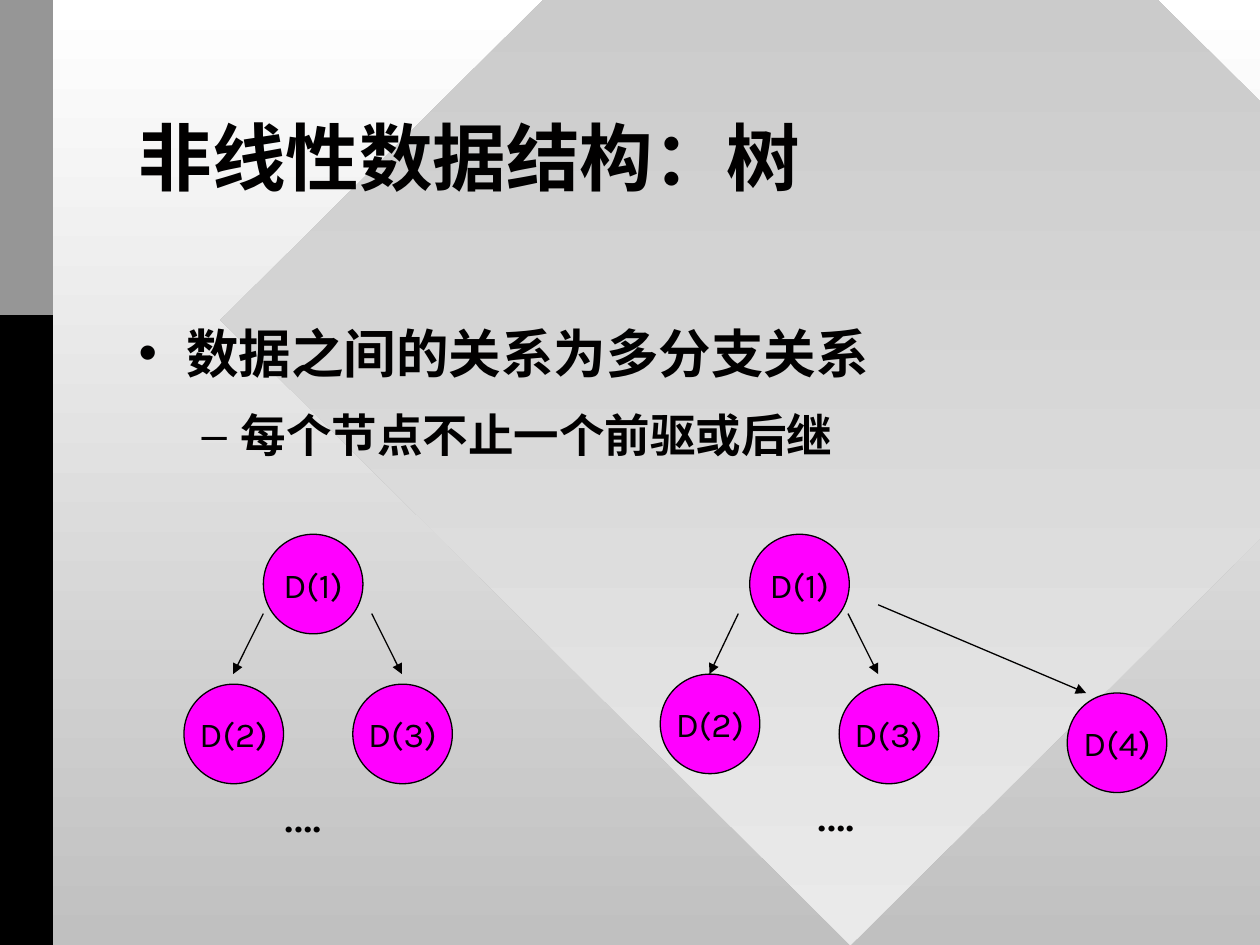
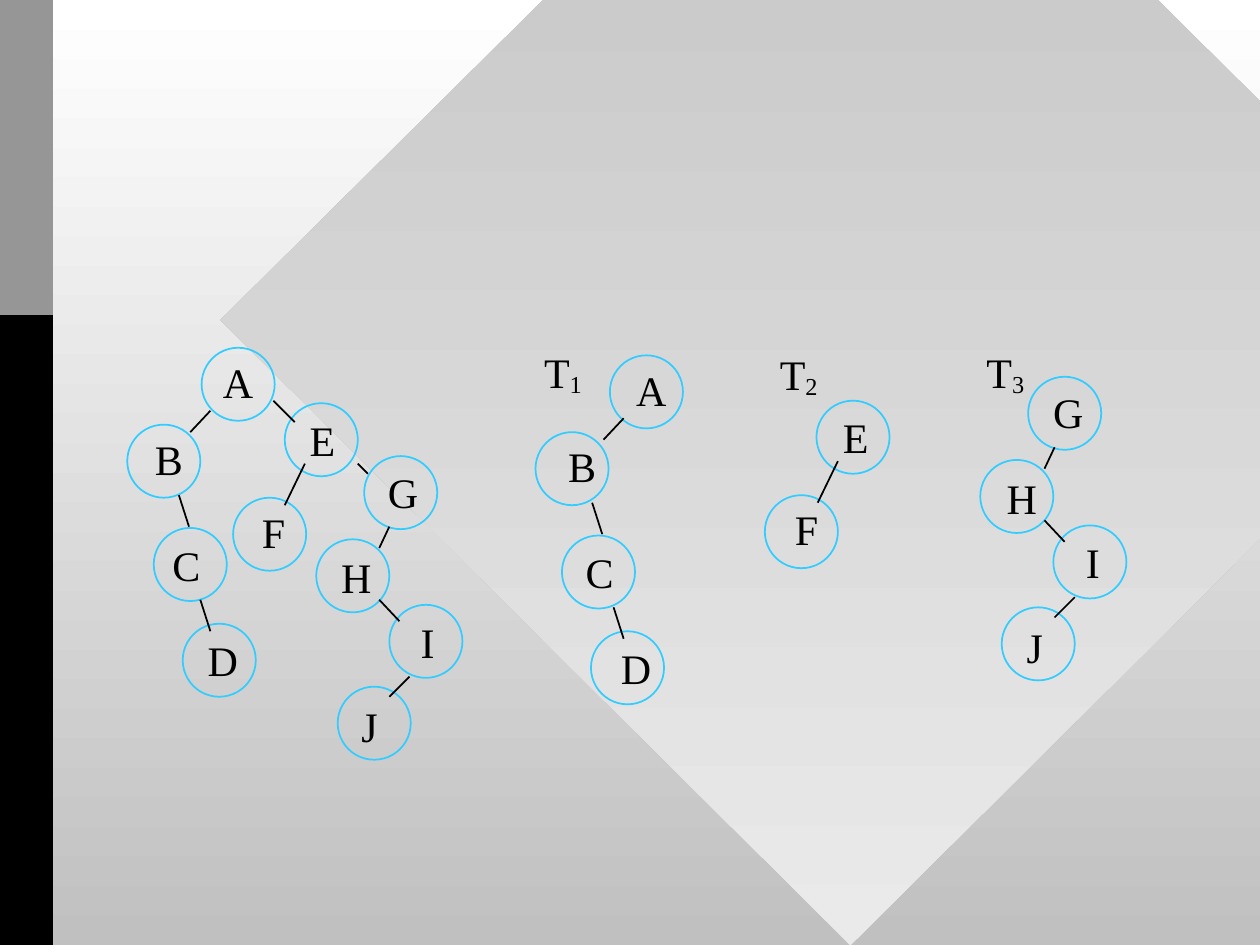
from dataclasses import dataclass
from typing import Optional

from pptx import Presentation
from pptx.dml.color import RGBColor
from pptx.enum.shapes import MSO_CONNECTOR as Conn, MSO_SHAPE as Shape
from pptx.enum.text import MSO_ANCHOR as Anchor, MSO_AUTO_SIZE as AutoSize, PP_ALIGN as Align
from pptx.oxml.ns import qn
from pptx.util import Inches, Pt
from lxml.etree import SubElement

INK = "010000"
MAGENTA = "FF00FF"
SKY = "33CCFF"
SANS = "Karla"
SERIF = "Times New Roman"
BIG_NODE = 0.79
SMALL_NODE = 0.58


@dataclass(frozen=True)
class Band:
    kind: Shape
    x: float
    y: float
    w: float
    h: float
    colors: tuple[str, ...]


@dataclass(frozen=True)
class Node:
    text: str
    x: float
    y: float
    text_x: float = 0
    text_y: float = 0


@dataclass(frozen=True)
class Edge:
    x1: float
    y1: float
    x2: float
    y2: float


@dataclass(frozen=True)
class Label:
    text: str
    x: float
    y: float
    w: float


@dataclass(frozen=True)
class Branch:
    nodes: tuple[Node, ...]
    edges: tuple[Edge, ...]
    label: Label
    circle_dx: float
    text_dx: float
    dy: float


@dataclass(frozen=True)
class Bullet:
    text: str
    level: int
    size: float
    mark: str
    margin: float
    hang: float
    before: float


BACKDROP = (
    Band(Shape.DIAMOND, 1.75, -2.42, 10, 9.92, ("C0C0C0", "EAEAEA")),
    Band(Shape.RECTANGLE, 0, 0, 0.42, 7.5, ("000000",)),
    Band(Shape.RECTANGLE, 0, 0, 0.42, 2.5, ("969696",)),
)

BULLETS = (
    Bullet("数据之间的关系为多分支关系", 0, 30, "•", 0.38, 0.38, 0),
    Bullet("每个节点不止一个前驱或后继", 1, 26, "–", 0.81, 0.31, 13),
)

DATA_ARROWS = (
    Edge(2.09, 4.87, 1.85, 5.35), Edge(2.95, 4.87, 3.19, 5.35),
    Edge(5.86, 4.87, 5.63, 5.35), Edge(6.73, 4.87, 6.97, 5.35),
    Edge(6.97, 4.8, 8.62, 5.5),
)
DATA_NODES = (
    Node("D(1)", 2.09, 4.24), Node("D(2)", 1.46, 5.43), Node("D(3)", 2.8, 5.43),
    Node("D(1)", 5.95, 4.24), Node("D(2)", 5.24, 5.35), Node("D(3)", 6.66, 5.43),
    Node("D(4)", 8.47, 5.5),
)
DOTS = (Label("….", 2.16, 6.14, 0.64), Label("….", 6.39, 6.13, 0.64))

BRANCHES = (
    Branch(
        (Node("A", 1.6, 2.76, 1.67, 2.78), Node("B", 1.01, 3.37, 1.13, 3.39),
         Node("C", 1.22, 4.19, 1.27, 4.23), Node("D", 1.45, 4.95, 1.55, 4.99)),
        (Edge(1.67, 3.26, 1.51, 3.43), Edge(1.42, 3.93, 1.5, 4.18),
         Edge(1.59, 4.76, 1.67, 5.01)),
        Label("1", 4.22, 2.7, 0.66), 3.24, 3.28, 0.06),
    Branch(
        (Node("E", 2.26, 3.2, 2.36, 3.24), Node("F", 1.85, 3.95, 1.98, 3.97)),
        (Edge(2.42, 3.68, 2.26, 4.01),),
        Label("2", 6.09, 2.72, 0.85), 4.22, 4.23, -0.02),
    Branch(
        (Node("G", 2.89, 3.62, 2.98, 3.65), Node("H", 2.51, 4.28, 2.61, 4.33),
         Node("I", 3.09, 4.8, 3.24, 4.84), Node("J", 2.68, 5.45, 2.77, 5.51)),
        (Edge(3.09, 4.18, 3.01, 4.35), Edge(3.01, 4.76, 3.17, 4.93),
         Edge(3.25, 5.37, 3.09, 5.53)),
        Label("3", 7.73, 2.7, 0.58), 5.27, 5.28, -0.63),
)
BRANCH_LINKS = (Edge(2.17, 3.18, 2.34, 3.35), Edge(2.84, 3.68, 2.92, 3.76))


def rgb(value: str) -> RGBColor:
    return RGBColor.from_string(value)


def paint(fill, colors: tuple[str, ...]) -> None:
    if len(colors) == 1:
        fill.solid()
        fill.fore_color.rgb = rgb(colors[0])
        return
    fill.gradient()
    fill.gradient_angle = 270
    for stop, color in zip(fill.gradient_stops, colors):
        stop.color.rgb = rgb(color)


def add_run(p, text: str, size: float, font: str, bold: bool = False):
    r = p.add_run()
    r.text = text
    r.font.size = Pt(size)
    r.font.name = font
    r.font.bold = bold
    r.font.color.rgb = rgb(INK)
    return r


def place(sp, x: float, y: float, w: float, h: float) -> None:
    sp.left, sp.top, sp.width, sp.height = (Inches(v) for v in (x, y, w, h))


def set_backdrop(prs, slide) -> None:
    master = prs.slide_master
    paint(master.background.fill, ("FFFFFF", "C0C0C0"))
    for i, band in enumerate(BACKDROP):
        sp = slide.shapes.add_shape(band.kind, 0, 0, 0, 0)
        place(sp, band.x, band.y, band.w, band.h)
        sp.shadow.inherit = False
        sp.line.fill.background()
        paint(sp.fill, band.colors)
        sp.element.nvSpPr.cNvPr.set("id", str(20 + i))
        master.shapes.element.insert(2 + i, sp.element)


def add_circle(shapes, x: float, y: float, size: float, line: str, width: float,
               fill: Optional[str] = None):
    sp = shapes.add_shape(Shape.OVAL, Inches(x), Inches(y), Inches(size), Inches(size))
    sp.shadow.inherit = False
    sp.line.color.rgb = rgb(line)
    sp.line.width = Pt(width)
    if fill:
        paint(sp.fill, (fill,))
    else:
        sp.fill.background()
    return sp


def add_edge(shapes, edge: Edge, width: float, dx: float = 0, dy: float = 0,
             arrow: bool = False) -> None:
    cx = shapes.add_connector(Conn.STRAIGHT, Inches(edge.x1 + dx), Inches(edge.y1 + dy),
                              Inches(edge.x2 + dx), Inches(edge.y2 + dy))
    cx.line.color.rgb = rgb(INK)
    cx.line.width = Pt(width)
    if arrow:
        SubElement(cx.line._get_or_add_ln(), qn("a:tailEnd"), type="triangle")
    SubElement(cx.element.spPr, qn("a:effectLst"))


def add_text(shapes, x: float, y: float, w: float, h: float, text: str, size: float,
             font: str, wrap: bool = True):
    sp = shapes.add_textbox(Inches(x), Inches(y), Inches(w), Inches(h))
    tf = sp.text_frame
    tf.word_wrap = wrap
    tf.auto_size = AutoSize.SHAPE_TO_FIT_TEXT
    p = tf.paragraphs[0]
    add_run(p, text, size, font)
    return p


def add_bullet(p, item: Bullet) -> None:
    p.level = item.level
    pPr = p._p.get_or_add_pPr()
    pPr.set("marL", str(Inches(item.margin)))
    pPr.set("indent", str(-Inches(item.hang)))
    SubElement(SubElement(pPr, qn("a:buClr")), qn("a:srgbClr"), val=INK)
    SubElement(pPr, qn("a:buChar"), char=item.mark)
    p.space_before = Pt(item.before)
    add_run(p, item.text, item.size, SANS, True)


def add_branch(shapes, branch: Branch, circle_dx: float = 0, text_dx: float = 0,
               dy: float = 0) -> None:
    for node in branch.nodes:
        add_text(shapes, node.text_x + text_dx, node.text_y + dy, 0.42, 0.5, node.text, 24, SERIF)
        add_circle(shapes, node.x + circle_dx, node.y + dy, SMALL_NODE, SKY, 1)
    for edge in branch.edges:
        add_edge(shapes, edge, 1, text_dx, dy)


def build_tree_slide(prs) -> None:
    slide = prs.slides.add_slide(prs.slide_layouts[1])
    set_backdrop(prs, slide)
    shapes = slide.shapes

    title = shapes.title
    place(title, 1, 0.67, 8, 1.25)
    tf = title.text_frame
    tf.auto_size = AutoSize.NONE
    tf.vertical_anchor = Anchor.MIDDLE
    p = tf.paragraphs[0]
    p.alignment = Align.LEFT
    p.line_spacing = 0.85
    add_run(p, "非线性数据结构：树", 42, SANS, True)

    body = slide.placeholders[1]
    place(body, 1, 2.5, 8.25, 4)
    tf = body.text_frame
    tf.auto_size = AutoSize.NONE
    for i, item in enumerate(BULLETS):
        add_bullet(tf.add_paragraph() if i else tf.paragraphs[0], item)

    for arrow in DATA_ARROWS:
        add_edge(shapes, arrow, 0.75, arrow=True)
    for dots in DOTS:
        add_text(shapes, dots.x, dots.y, dots.w, 0.6, dots.text, 30, SANS, wrap=False)
    for node in DATA_NODES:
        sp = add_circle(shapes, node.x, node.y, BIG_NODE, INK, 0.75, MAGENTA)
        tf = sp.text_frame
        tf.word_wrap = False
        tf.vertical_anchor = Anchor.MIDDLE
        p = tf.paragraphs[0]
        p.alignment = Align.CENTER
        add_run(p, node.text, 20, SANS)


def build_forest_slide(prs) -> None:
    slide = prs.slides.add_slide(prs.slide_layouts[6])
    whole_tree = slide.shapes.add_group_shape().shapes
    for branch in BRANCHES:
        add_branch(whole_tree, branch)
    for link in BRANCH_LINKS:
        add_edge(whole_tree, link, 1)

    for branch in BRANCHES:
        tree = slide.shapes.add_group_shape().shapes
        label = branch.label
        p = add_text(tree, label.x, label.y, label.w, 0.51, "T", 24, SERIF)
        r = add_run(p, label.text, 24, SERIF)
        r.font._element.set("baseline", "-12000")
        add_branch(tree, branch, branch.circle_dx, branch.text_dx, branch.dy)


def main() -> None:
    prs = Presentation()
    prs.slide_width, prs.slide_height = Inches(10), Inches(7.5)
    build_tree_slide(prs)
    build_forest_slide(prs)
    prs.save("out.pptx")


if __name__ == "__main__":
    main()
